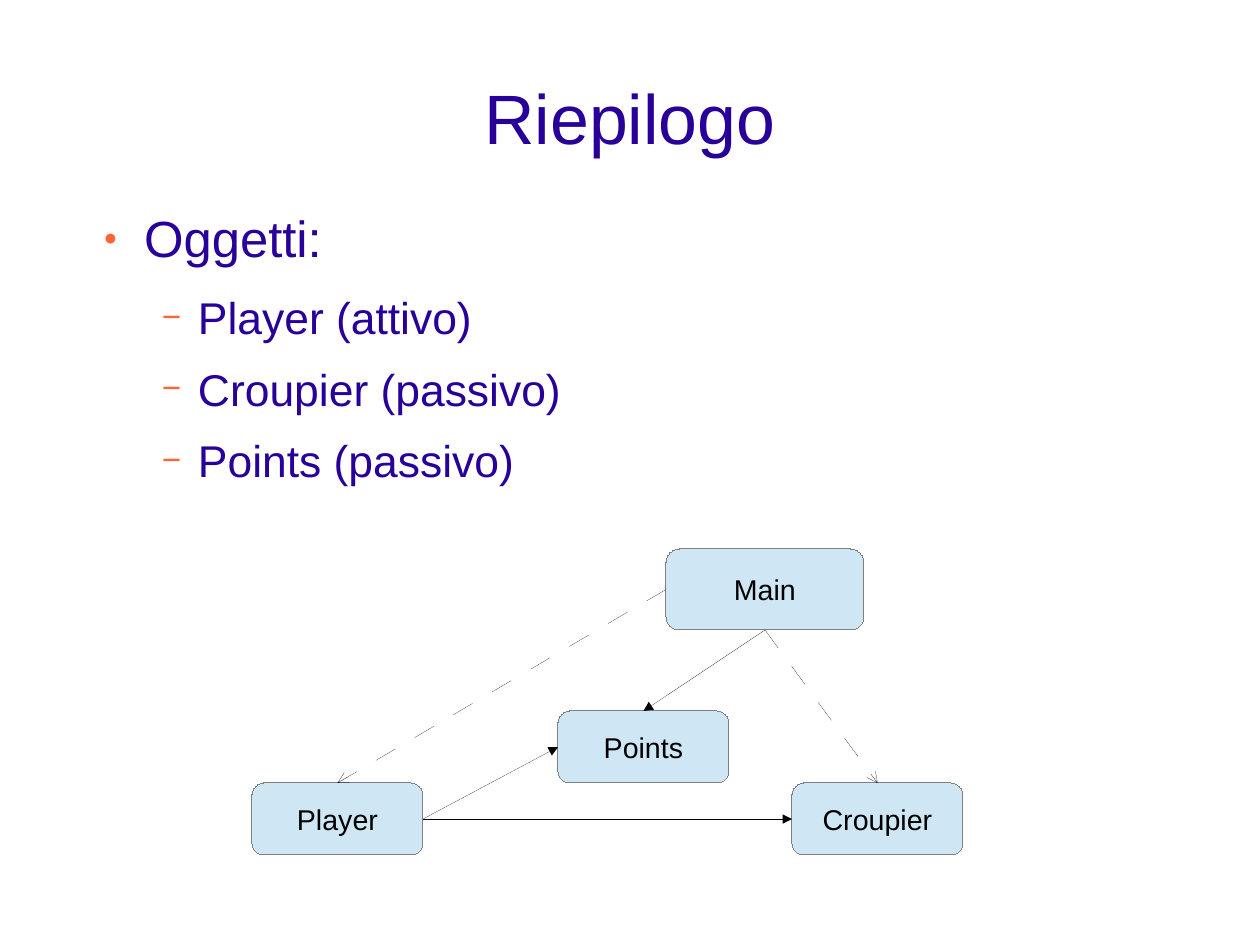
import lxml.etree
import pptx
import pptx.dml.color
import pptx.enum.shapes
import pptx.enum.text
import pptx.oxml.ns
import pptx.util

PX = 9000  # a quarter of a millimetre
COLORS = {"text": "280099", "bullet": "FF6633", "node": "CFE7F5",
          "border": "808080", "black": "000000"}
TOP, LEFT, BOTTOM, RIGHT = range(4)
MARGINS = ("margin_left", "margin_top", "margin_right", "margin_bottom")
BULLETS = [
    {"symbol": "●", "scale": 45, "indent": 48, "hanging": 36, "size": 32, "after": 14.1},
    {"symbol": "−", "scale": 75, "indent": 96, "hanging": 32, "size": 28, "after": 11.3},
]
ITEMS = [("Oggetti:", 0), ("Player (attivo)", 1),
         ("Croupier (passivo)", 1), ("Points (passivo)", 1)]
NODES = {"Player": (0, 208, 152, 64), "Croupier": (480, 208, 152, 64),
         "Points": (272, 144, 152, 64), "Main": (368, 0, 176, 72)}
LINKS = [("Player", RIGHT, "Croupier", LEFT, False),
         ("Player", RIGHT, "Points", LEFT, False),
         ("Main", BOTTOM, "Points", TOP, False),
         ("Main", LEFT, "Player", TOP, True),
         ("Main", BOTTOM, "Croupier", TOP, True)]


def px(*lengths):
    return [pptx.util.Emu(length * PX) for length in lengths]


def rgb(name):
    return pptx.dml.color.RGBColor.from_string(COLORS[name])


def set_values(target, **values):
    for name, value in values.items():
        setattr(target, name, value)


def add_xml(parent, tag, **attributes):
    return lxml.etree.SubElement(parent, pptx.oxml.ns.qn(tag), attributes)


def add_text(para, text, size, color):
    span = para.add_run()
    span.text = text
    set_values(span.font, name="Arial", size=pptx.util.Pt(size))
    span.font.color.rgb = rgb(color)


def place(shape, box):
    set_values(shape, **dict(zip(("left", "top", "width", "height"), px(*box))))


def set_hairline(shape, color):
    """Give the outline an explicit zero width, which draws as a hairline."""
    shape.line.color.rgb = rgb(color)
    line = shape._element.spPr.find(pptx.oxml.ns.qn("a:ln"))
    line.set("w", "0")
    return line


def fill_title(page, box, text):
    title = page.shapes.title
    place(title, box)
    frame = title.text_frame
    set_values(frame, word_wrap=True, vertical_anchor=pptx.enum.text.MSO_ANCHOR.MIDDLE,
               **dict.fromkeys(MARGINS, 0))
    para = frame.paragraphs[0]
    para.alignment = pptx.enum.text.PP_ALIGN.CENTER
    add_text(para, text, 44, "text")


def set_bullet(para, style):
    properties = para._p.get_or_add_pPr()
    indent, hanging = px(style["indent"], style["hanging"])
    properties.set("marL", str(indent))
    properties.set("indent", str(-hanging))
    color = add_xml(properties, "a:buClr")
    add_xml(color, "a:srgbClr", val=COLORS["bullet"])
    add_xml(properties, "a:buSzPct", val=str(style["scale"] * 1000))
    add_xml(properties, "a:buFont", typeface="Arial")
    add_xml(properties, "a:buChar", char=style["symbol"])


def fill_list(page, box, items):
    body = page.placeholders[1]
    place(body, box)
    frame = body.text_frame
    set_values(frame, word_wrap=True, vertical_anchor=pptx.enum.text.MSO_ANCHOR.TOP,
               **dict.fromkeys(MARGINS, 0))
    for index, (text, level) in enumerate(items):
        para = frame.add_paragraph() if index else frame.paragraphs[0]
        style = BULLETS[level]
        set_values(para, level=level, space_before=pptx.util.Pt(0),
                   space_after=pptx.util.Pt(style["after"]))
        set_bullet(para, style)
        add_text(para, text, style["size"], "text")


def add_node(page, box, label):
    node = page.shapes.add_shape(pptx.enum.shapes.MSO_SHAPE.ROUNDED_RECTANGLE, *px(*box))
    node.shadow.inherit = False
    node.fill.solid()
    node.fill.fore_color.rgb = rgb("node")
    set_hairline(node, "border")
    set_values(node.text_frame, word_wrap=False,
               vertical_anchor=pptx.enum.text.MSO_ANCHOR.MIDDLE)
    para = node.text_frame.paragraphs[0]
    para.alignment = pptx.enum.text.PP_ALIGN.CENTER
    add_text(para, label, 18, "black")
    return node


def add_link(page, source, source_side, target, target_side, dashed):
    link = page.shapes.add_connector(pptx.enum.shapes.MSO_CONNECTOR.STRAIGHT, 0, 0, 0, 0)
    link.begin_connect(source, source_side)
    link.end_connect(target, target_side)
    line = set_hairline(link, "black")
    if dashed:
        dashes = add_xml(line, "a:custDash")
        add_xml(dashes, "a:ds", d="1850000", sp="1850000")
    add_xml(line, "a:tailEnd", type="arrow" if dashed else "triangle")
    add_xml(link._element.spPr, "a:effectLst")


def draw_diagram(page, left, top):
    nodes = {label: add_node(page, (left + x, top + y, width, height), label)
             for label, (x, y, width, height) in NODES.items()}
    for source, source_side, target, target_side, dashed in LINKS:
        add_link(page, nodes[source], source_side, nodes[target], target_side, dashed)


def main():
    deck = pptx.Presentation()
    deck.slide_width, deck.slide_height = px(1120, 840)
    page = deck.slides.add_slide(deck.slide_layouts[1])
    fill_title(page, (56, 34, 1008, 140), "Riepilogo")
    fill_list(page, (80, 184, 984, 488), ITEMS)
    draw_diagram(page, 224, 488)
    deck.save("out.pptx")


if __name__ == "__main__":
    main()
